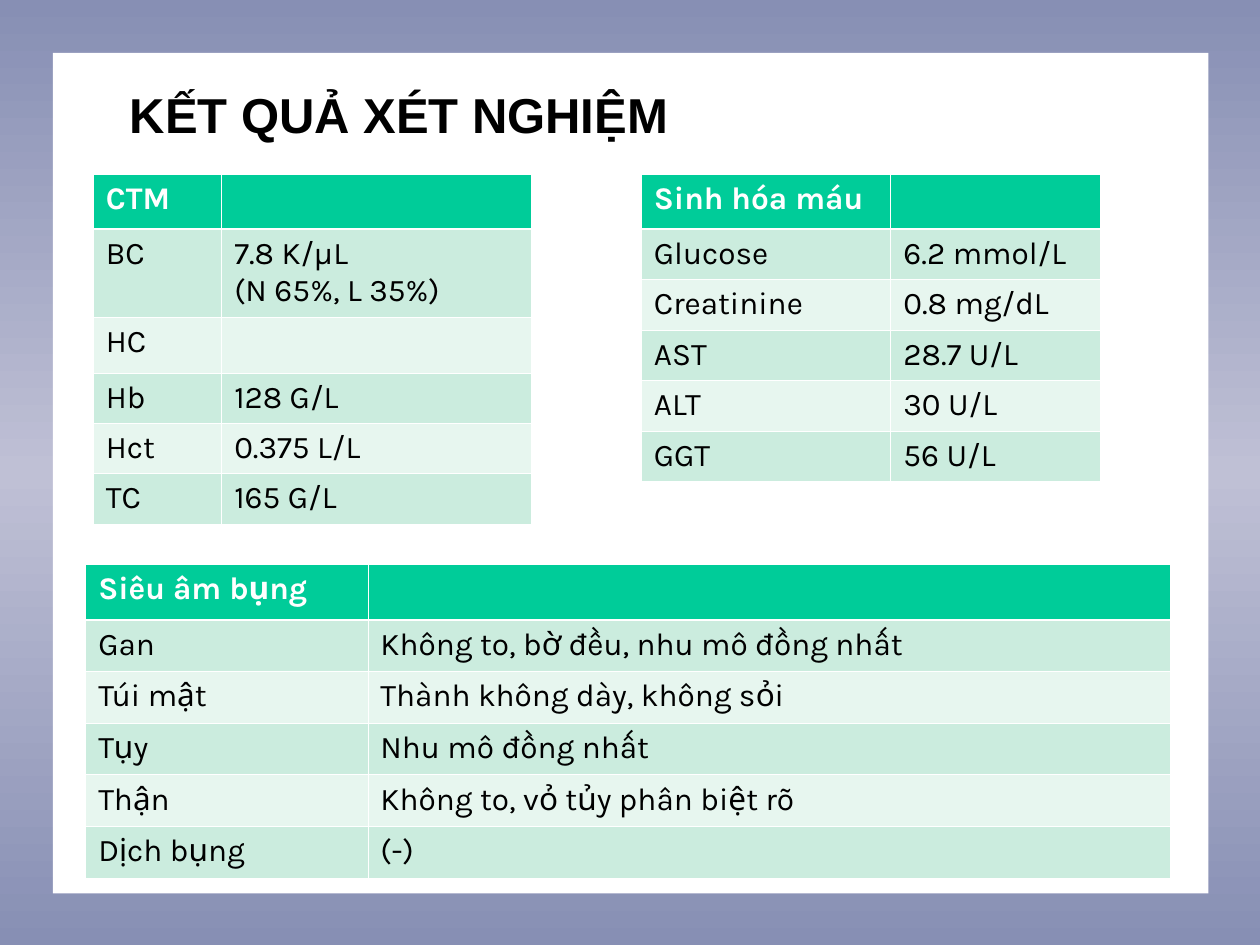
import copy
from dataclasses import dataclass

import pptx
import pptx.dml.color
import pptx.enum.text
import pptx.oxml
import pptx.oxml.ns
import pptx.util
from pptx.util import Inches


@dataclass(frozen=True)
class Theme:
    edge: str = "878FB4"
    glow: str = "BFC0D5"
    white: str = "FFFFFF"
    ink: str = "000000"
    head: str = "00CC99"
    dark: str = "CBECDE"
    light: str = "E7F6EF"
    title_font: str = "Arial"
    font: str = "Karla"
    title_size: int = 28
    size: int = 18
    thin: float = 0.45
    thick: float = 1.47


@dataclass(frozen=True)
class Grid:
    left: float
    top: float
    cols: tuple[float, ...]
    highs: tuple[float, ...]
    rows: tuple[tuple[str, str], ...]


THEME = Theme()

BLOOD = Grid(0.74, 1.38, (1.02, 2.46), (0.44, 0.7, 0.44, 0.4, 0.4, 0.4), (
    ("CTM", ""),
    ("BC", "7.8 K/μL\n(N 65%, L 35%)"),
    ("HC", ""),
    ("Hb", "128 G/L"),
    ("Hct", "0.375 L/L"),
    ("TC", "165 G/L"),
))
CHEM = Grid(5.09, 1.38, (1.98, 1.66), (0.44,) + (0.4,) * 5, (
    ("Sinh hóa máu", ""),
    ("Glucose", "6.2 mmol/L"),
    ("Creatinine", "0.8 mg/dL"),
    ("AST", "28.7 U/L"),
    ("ALT", "30 U/L"),
    ("GGT", "56 U/L"),
))
SCAN = Grid(0.68, 4.48, (2.24, 6.37), (0.44,) + (0.41,) * 5, (
    ("Siêu âm bụng", ""),
    ("Gan", "Không to, bờ đều, nhu mô đồng nhất"),
    ("Túi mật", "Thành không dày, không sỏi"),
    ("Tụy", "Nhu mô đồng nhất"),
    ("Thận", "Không to, vỏ tủy phân biệt rõ"),
    ("Dịch bụng", "(-)"),
))


def rgb(code: str) -> pptx.dml.color.RGBColor:
    return pptx.dml.color.RGBColor.from_string(code)


def write(para, text: str, font: str, size: int, tint: str, bold: bool) -> None:
    """Add one run for each line of the text."""
    for i, line in enumerate(text.split("\n")):
        if i:
            para.add_line_break()
        run = para.add_run()
        run.text = line
        run.font.name = font
        run.font.size = pptx.util.Pt(size)
        run.font.bold = bold
        run.font.color.rgb = rgb(tint)


def border(cell, side: str, width: float) -> None:
    line = pptx.oxml.parse_xml(
        f'<a:ln{side} {pptx.oxml.ns.nsdecls("a")} w="{int(pptx.util.Pt(width))}">'
        f'<a:solidFill><a:srgbClr val="{THEME.white}"/></a:solidFill></a:ln{side}>')
    cell._tc.get_or_add_tcPr().append(line)


def draw_grid(slide, grid: Grid) -> None:
    frame = slide.shapes.add_table(
        len(grid.rows), len(grid.cols), Inches(grid.left), Inches(grid.top),
        Inches(sum(grid.cols)), Inches(sum(grid.highs)))
    table = frame.table
    for col, width in zip(table.columns, grid.cols):
        col.width = Inches(width)
    for r, (high, texts) in enumerate(zip(grid.highs, grid.rows)):
        table.rows[r].height = Inches(high)
        head = r == 0
        band = THEME.head if head else THEME.dark if r % 2 else THEME.light
        for c, text in enumerate(texts):
            cell = table.cell(r, c)
            # The rule under the header row is heavier
            for side in "LRTB":
                heavy = (side == "B" and head) or (side == "T" and r == 1)
                border(cell, side, THEME.thick if heavy else THEME.thin)
            cell.fill.solid()
            cell.fill.fore_color.rgb = rgb(band)
            if text:
                write(cell.text_frame.paragraphs[0], text, THEME.font, THEME.size,
                      THEME.white if head else THEME.ink, head)


def draw_back(slide) -> None:
    # Gradient with a light middle
    fill = slide.background.fill
    fill.gradient()
    fill.gradient_angle = 90
    stops = slide.element.find(".//" + pptx.oxml.ns.qn("a:gsLst"))
    stops.append(copy.deepcopy(stops[-1]))
    tints = (THEME.edge, THEME.glow, THEME.edge)
    for stop, spot, tint in zip(fill.gradient_stops, (0, 0.5, 1), tints):
        stop.position = spot
        stop.color.rgb = rgb(tint)
    # White panel, sent behind the title
    panel = slide.shapes.add_shape(
        pptx.enum.shapes.MSO_SHAPE.RECTANGLE,
        Inches(0.42), Inches(0.42), Inches(9.17), Inches(6.67))
    panel.shadow.inherit = False
    panel.fill.solid()
    panel.fill.fore_color.rgb = rgb(THEME.white)
    panel.line.fill.background()
    slide.shapes._spTree.insert(2, panel._element)


def draw_title(slide, text: str) -> None:
    title = slide.shapes.title
    title.left, title.top = Inches(0.55), Inches(0.58)
    title.width, title.height = Inches(9.08), Inches(4.95)
    frame = title.text_frame
    frame.word_wrap = True
    frame.auto_size = pptx.enum.text.MSO_AUTO_SIZE.NONE
    frame.vertical_anchor = pptx.enum.text.MSO_ANCHOR.TOP
    frame.margin_left, frame.margin_top = Inches(0.48), Inches(0.09)
    para = frame.paragraphs[0]
    para.alignment = pptx.enum.text.PP_ALIGN.LEFT
    write(para, text, THEME.title_font, THEME.title_size, THEME.ink, True)


def main() -> None:
    deck = pptx.Presentation()
    deck.slide_width, deck.slide_height = Inches(10), Inches(7.5)
    slide = deck.slides.add_slide(deck.slide_layouts[5])
    draw_back(slide)
    draw_title(slide, "KẾT QUẢ XÉT NGHIỆM")
    for grid in (BLOOD, CHEM, SCAN):
        draw_grid(slide, grid)
    deck.save("out.pptx")


if __name__ == "__main__":
    main()
